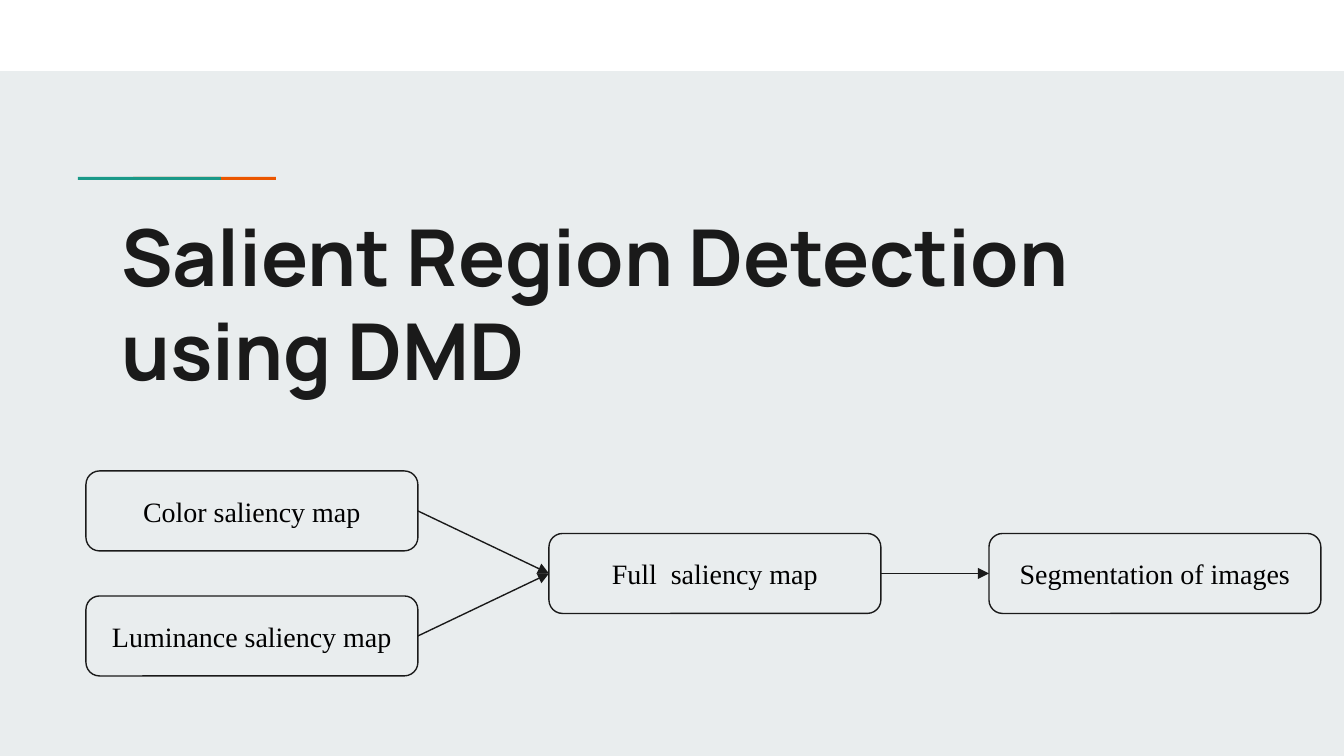
from lxml import etree
from pptx import Presentation
from pptx import util as u
from pptx.dml.color import RGBColor
from pptx.enum import shapes, text
from pptx.oxml.ns import qn

PX = 914400 / 134.4
HUE = {"back": "E9EDEE", "band": "FFFFFF", "ink": "1A1A1A",
       "teal": "1A9988", "flame": "EB5600", "label": "000000"}
KIND = shapes.MSO_SHAPE


def px(n):
    return u.Emu(round(n * PX))


def paint(fill, hue):
    fill.solid()
    fill.fore_color.rgb = RGBColor.from_string(HUE[hue])


def write(shape, words, font, size, hue="ink", bold=False,
          align=text.PP_ALIGN.LEFT, anchor=text.MSO_ANCHOR.TOP):
    frame = shape.text_frame
    frame.word_wrap = True
    frame.vertical_anchor = anchor
    frame.margin_left = frame.margin_right = u.Inches(0.1)
    frame.margin_top = frame.margin_bottom = u.Inches(0.1)
    line = frame.paragraphs[0]
    line.alignment = align
    run = line.add_run()
    run.text = words
    run.font.name = font
    run.font.size = u.Pt(size)
    run.font.bold = bold
    run.font.color.rgb = RGBColor.from_string(HUE[hue])


def block(slide, box, hue, kind=KIND.RECTANGLE):
    shape = slide.shapes.add_shape(kind, *map(px, box))
    shape.shadow.inherit = False
    paint(shape.fill, hue)
    shape.line.fill.background()
    return shape


def node(slide, box, words):
    shape = block(slide, box, "back", KIND.ROUNDED_RECTANGLE)
    shape.adjustments[0] = 0.17
    paint(shape.line.fill, "ink")
    shape.line.width = u.Pt(0.75)
    write(shape, words, "Times New Roman", 15, hue="label",
          align=text.PP_ALIGN.CENTER, anchor=text.MSO_ANCHOR.MIDDLE)
    return shape


def arrow(slide, start, end):
    link = slide.shapes.add_connector(shapes.MSO_CONNECTOR.STRAIGHT, 0, 0, 0, 0)
    link.begin_connect(start, 3)
    link.end_connect(end, 1)
    paint(link.line.fill, "ink")
    link.line.width = u.Pt(0.75)
    etree.SubElement(link.line._get_or_add_ln(), qn("a:tailEnd"), type="triangle")
    etree.SubElement(link._element.spPr, qn("a:effectLst"))


def accent(slide, box):
    left, top, width, height = box
    part = 143
    block(slide, (left + width - part, top, part, height), "flame")
    block(slide, (left, top, part, height), "teal")


def title(slide, box):
    shape = slide.shapes.add_textbox(*map(px, box))
    write(shape, "Salient Region Detection using DMD", "Manrope", 42, bold=True)


def flow(slide, box):
    left, top, width, height = box
    wide, tall = 332, 80
    low = height - tall
    mid = low / 2
    spots = [("Color saliency map", 0, 0),
             ("Luminance saliency map", 0, low),
             ("Full  saliency map", 463, mid),
             ("Segmentation of images", width - wide, mid)]
    color, light, full, split = [
        node(slide, (left + x, top + y, wide, tall), words)
        for words, x, y in spots]
    for start, end in ((color, full), (light, full), (full, split)):
        arrow(slide, start, end)


def main():
    deck = Presentation()
    deck.slide_width, deck.slide_height = px(1344), px(756)
    slide = deck.slides.add_slide(deck.slide_layouts[6])
    paint(slide.background.fill, "back")
    block(slide, (0, 0, 1344, 71), "band")
    accent(slide, (78, 177, 198, 3))
    title(slide, (108, 195, 1130, 245))
    flow(slide, (86, 471, 1235, 205))
    deck.save("out.pptx")


if __name__ == "__main__":
    main()
